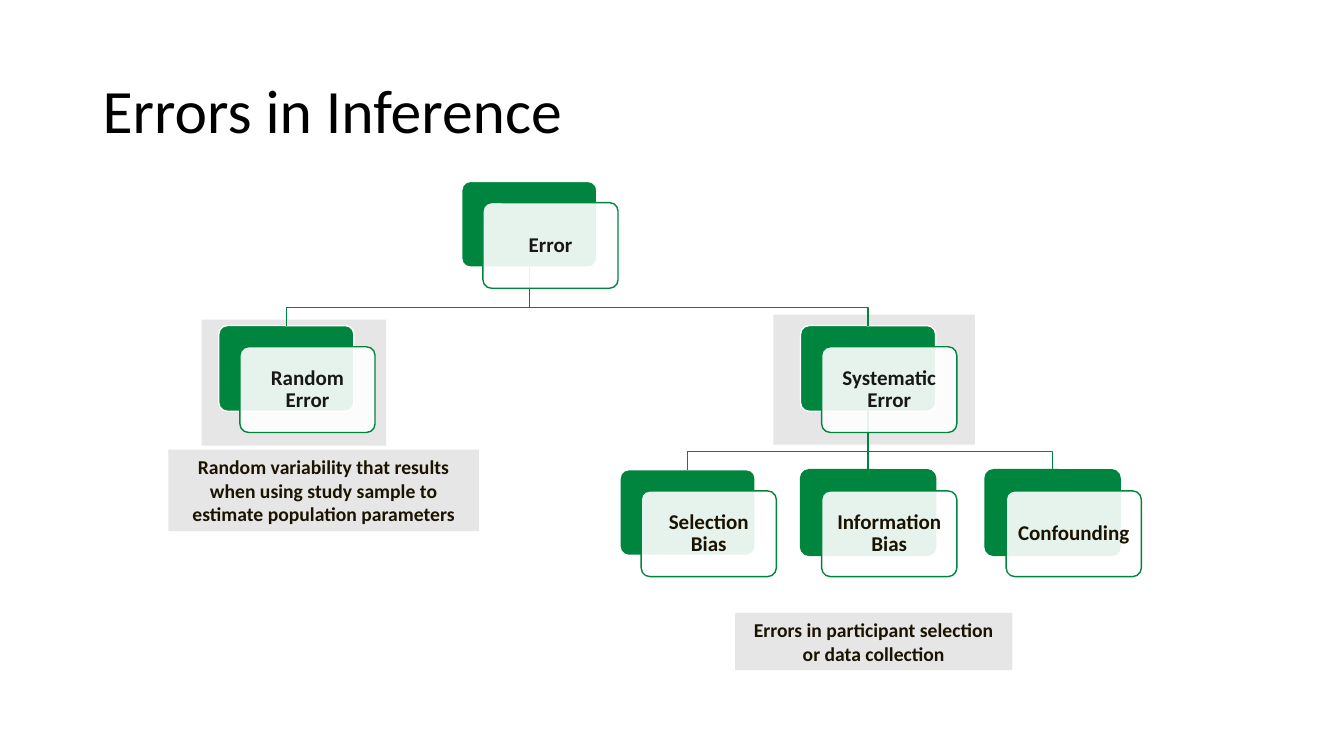
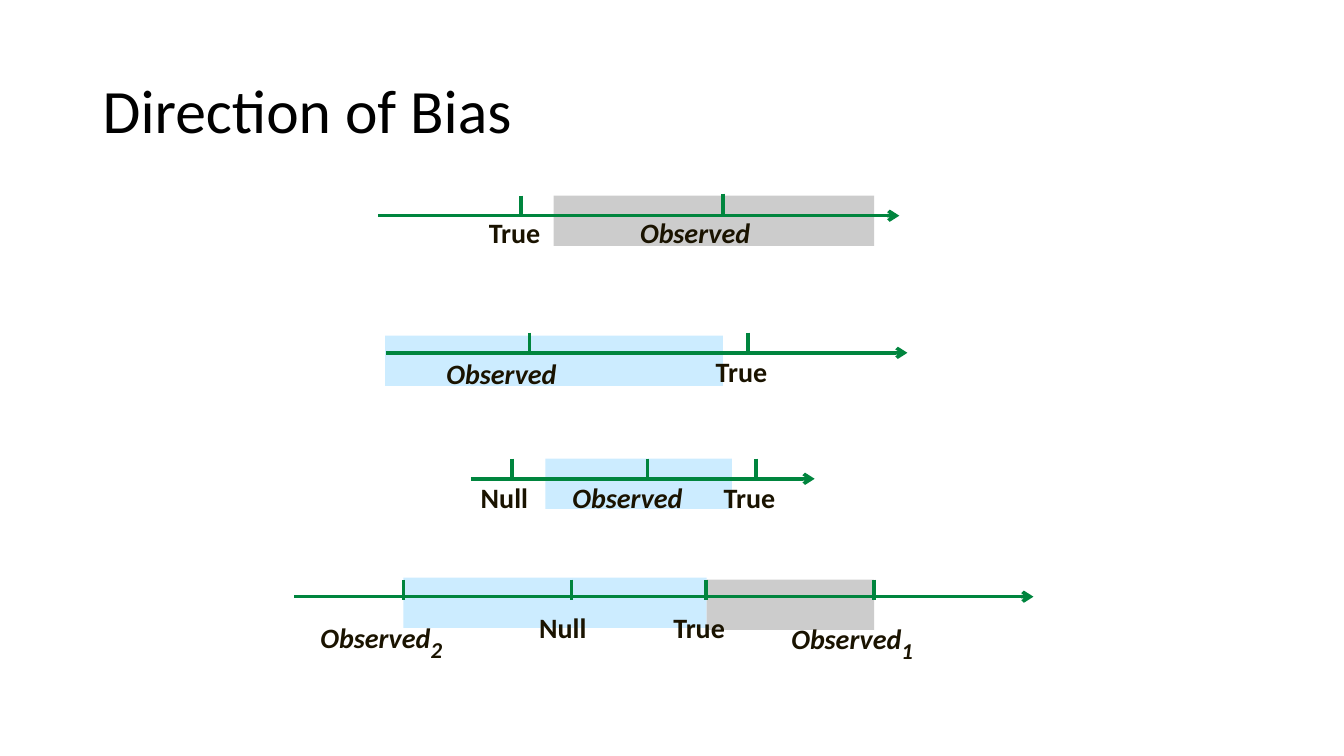
from lxml import etree
from pptx import Presentation
from pptx.dml.color import RGBColor
from pptx.enum.shapes import MSO_CONNECTOR as CONN, MSO_SHAPE as SHAPE
from pptx.enum.text import MSO_ANCHOR as ANCHOR, PP_ALIGN as ALIGN
from pptx.oxml.ns import qn
from pptx.util import Inches, Pt

GREEN, WHITE, BLACK, INK, DARK = "00853E", "FFFFFF", "000000", "1A1300", "181717"
PALE, GREY, BLUE = "E7E6E6", "CCCCCC", "CCECFF"
TITLE = {"size": Pt(44), "name": "Calibri"}
NODE = {"size": Pt(15), "name": "Calibri", "bold": True}
NOTE = {"size": Pt(14), "name": "Calibri", "bold": True}
LABEL = {"size": Pt(20), "name": "Calibri", "bold": True}


def style(shape, fill=None, line=None, width=1):
    """Set fill and outline (None for neither) and remove the shadow."""
    shape.shadow.inherit = False
    if fill:
        shape.fill.solid()
        shape.fill.fore_color.rgb = RGBColor.from_string(fill)
    else:
        shape.fill.background()
    if line:
        shape.line.color.rgb = RGBColor.from_string(line)
        shape.line.width = Pt(width)
    else:
        shape.line.fill.background()


def add_run(p, text, fmt, color=INK):
    r = p.add_run()
    r.text = text
    for key, value in fmt.items():
        setattr(r.font, key, value)
    r.font.color.rgb = RGBColor.from_string(color)
    return r


prs = Presentation()
prs.slide_width, prs.slide_height = Inches(13.33), Inches(7.5)
slides = []
for title in ("Errors in Inference", "Direction of Bias"):
    s = prs.slides.add_slide(prs.slide_layouts[6])
    slides.append(s)
    tf = s.shapes.add_textbox(Inches(0.92), Inches(0.4), Inches(11.5), Inches(1.45)).text_frame
    tf.word_wrap = True
    tf.vertical_anchor = ANCHOR.MIDDLE
    tf.paragraphs[0].line_spacing = 0.9
    add_run(tf.paragraphs[0], title, TITLE, BLACK)

# Slide 1: tree of errors
tree, bias = (s.shapes for s in slides)
panels = [
    (7.67, 3.12, 2, 1.29, []),
    (2, 3.17, 1.83, 1.25, []),
    (1.67, 4.46, 3.08, 0.81, ["Random variability that results when using study sample to",
                              "estimate population parameters"]),
    (7.29, 6.08, 2.75, 0.57, ["Errors in participant selection or data collection"]),
]
for x, y, w, h, lines in panels:
    sp = tree.add_shape(SHAPE.RECTANGLE, Inches(x), Inches(y), Inches(w), Inches(h))
    style(sp, PALE)
    tf = sp.text_frame
    tf.word_wrap = True
    for i, text in enumerate(lines):
        p = tf.add_paragraph() if i else tf.paragraphs[0]
        p.alignment = ALIGN.CENTER
        add_run(p, text, NOTE)

# name: left, level, parent, outline, text colour
nodes = {
    "Error": (4.58, 0, None, WHITE, DARK),
    "Random Error": (2.17, 1, "Error", WHITE, DARK),
    "Systematic Error": (7.94, 1, "Error", WHITE, DARK),
    "Selection Bias": (6.15, 2, "Systematic Error", WHITE, INK),
    "Information Bias": (7.94, 2, "Systematic Error", GREEN, INK),
    "Confounding": (9.77, 2, "Systematic Error", GREEN, INK),
}
TOP, LEVEL_STEP = 1.8, 1.43
CARD_W, CARD_H = Inches(1.34), Inches(0.85)
OFFSET, DROP = Inches(0.21), Inches(0.18)

backs = {}
for name, (x, level, parent, outline, color) in nodes.items():
    sp = tree.add_shape(SHAPE.ROUNDED_RECTANGLE, Inches(x), Inches(TOP + level * LEVEL_STEP),
                        CARD_W, CARD_H)
    sp.adjustments[0] = 0.1
    style(sp, GREEN, outline)
    backs[name] = sp

for name, (x, level, parent, outline, color) in nodes.items():
    if not parent:
        continue
    above, below = backs[parent], backs[name]
    x1, y1 = above.left + CARD_W // 2, above.top + CARD_H
    x2, y2 = below.left + CARD_W // 2, below.top
    if x1 == x2:
        link = tree.add_connector(CONN.STRAIGHT, x1, y1, x2, y2)
        link.begin_connect(above, 2)
        link.end_connect(below, 0)
        link.line.color.rgb = RGBColor.from_string(GREEN)
        link.line.width = Pt(1)
        etree.SubElement(link._element.spPr, qn("a:effectLst"))
    else:
        path = tree.build_freeform(x1, y1)
        path.add_line_segments([(x1, y2 - DROP), (x2, y2 - DROP), (x2, y2)], close=False)
        style(path.convert_to_shape(), line=GREEN)

for name, (x, level, parent, outline, color) in nodes.items():
    back = backs[name]
    sp = tree.add_shape(SHAPE.ROUNDED_RECTANGLE, back.left + OFFSET, back.top + OFFSET,
                        CARD_W, CARD_H)
    sp.adjustments[0] = 0.1
    style(sp, WHITE, GREEN)
    fill_color = sp._element.spPr.find(qn("a:solidFill")).find(qn("a:srgbClr"))
    etree.SubElement(fill_color, qn("a:alpha"), val="90000")
    tf = sp.text_frame
    tf.word_wrap = True
    tf.vertical_anchor = ANCHOR.MIDDLE
    for side in ("left", "right", "top", "bottom"):
        setattr(tf, f"margin_{side}", Inches(0.07))
    p = tf.paragraphs[0]
    p.alignment, p.line_spacing = ALIGN.CENTER, 0.9
    add_run(p, name, NODE, color)

# Slide 2: number lines
BAND_H, TICK_H = 0.5, 0.2
scales = [
    {"axis": (3.75, 8.92, 2.14), "bands": [(5.49, 1.94, 3.18, GREY)],
     "ticks": [(5.17, 1.94), (7.17, 1.92)],
     "labels": [("True", "", 4.75, 2.09), ("Observed", "", 6.25, 2.09)]},
    {"axis": (3.83, 9, 3.5), "bands": [(3.82, 3.33, 3.35, BLUE)],
     "ticks": [(5.25, 3.3), (7.42, 3.3)],
     "labels": [("True", "", 7, 3.47), ("Observed", "", 4.33, 3.49)]},
    {"axis": (4.67, 8.08, 4.75), "bands": [(5.41, 4.55, 1.85, BLUE)],
     "ticks": [(x, 4.55) for x in (5.08, 6.42, 7.5)],
     "labels": [("Null", "", 4.67, 4.72), ("Observed", "", 5.58, 4.72),
                ("True", "", 7.08, 4.72)]},
    {"axis": (2.92, 10.25, 5.92),
     "bands": [(4, 5.73, 3.01, BLUE), (7.01, 5.75, 1.66, GREY)],
     "ticks": [(x, 5.75) for x in (4, 5.67, 7, 8.67)],
     "labels": [("Observed", "2", 3.08, 6), ("Null", "", 5.25, 6.01),
                ("True", "", 6.58, 6.01), ("Observed", "1", 7.75, 6.01)]},
]
for scale in scales:
    for x, y, w, color in scale["bands"]:
        style(bias.add_shape(SHAPE.RECTANGLE, Inches(x), Inches(y), Inches(w), Inches(BAND_H)),
              color)

    start, end, y = scale["axis"]
    strokes = [(start, y, end, y)] + [(x, top, x, top + TICK_H) for x, top in scale["ticks"]]
    for i, ends in enumerate(strokes):
        stroke = bias.add_connector(CONN.STRAIGHT, *map(Inches, ends))
        stroke.line.color.rgb = RGBColor.from_string(GREEN)
        stroke.line.width = Pt(2.5)
        if i == 0:
            etree.SubElement(stroke.line._get_or_add_ln(), qn("a:tailEnd"), type="arrow")
        etree.SubElement(stroke._element.spPr, qn("a:effectLst"))

    for text, index, x, y in scale["labels"]:
        observed = text == "Observed"
        tf = bias.add_textbox(Inches(x), Inches(y), Inches(1.83 if observed else 0.83),
                              Inches(0.44)).text_frame
        tf.word_wrap = True
        fmt = {**LABEL, "italic": observed}
        p = tf.paragraphs[0]
        add_run(p, text, fmt)
        if index:
            r = add_run(p, index, {**fmt, "size": Pt(28)})
            r.font._element.set("baseline", "-25000")

prs.save("out.pptx")
